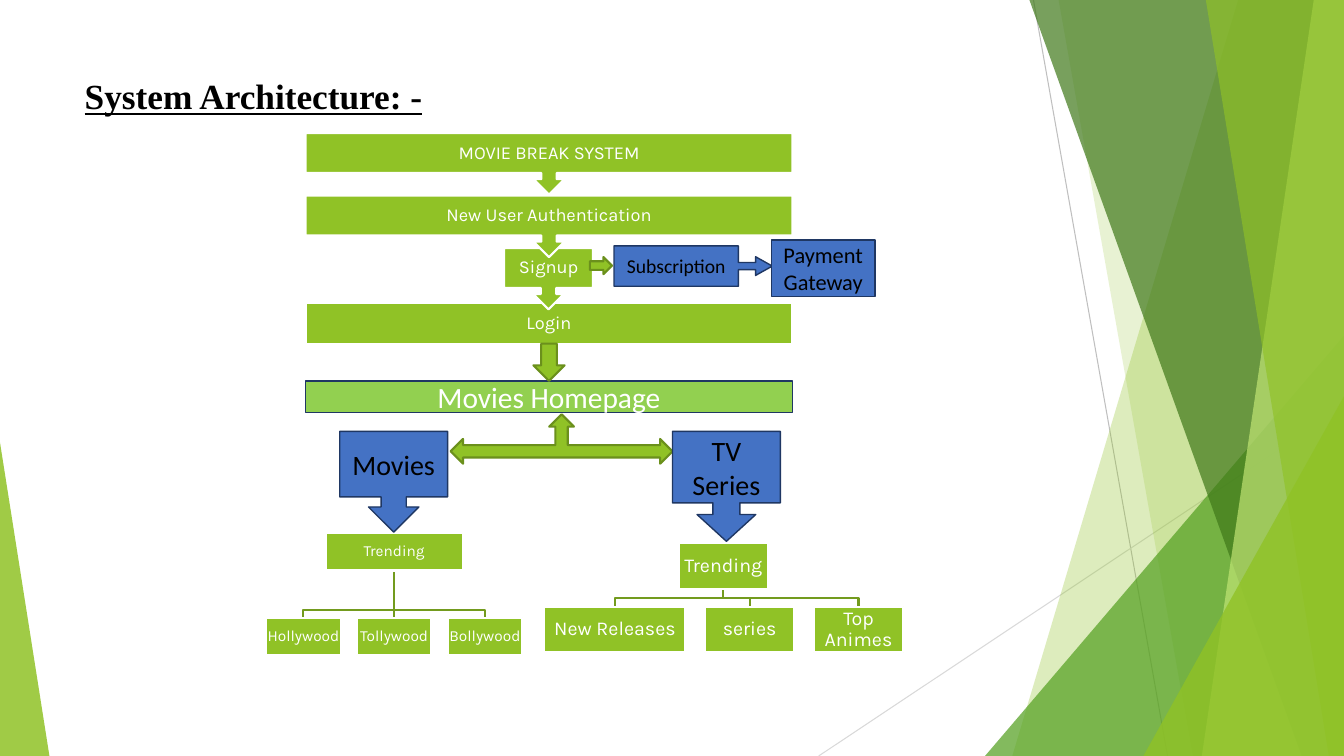
from lxml import etree
from pptx import Presentation, util as u
from pptx.dml.color import RGBColor
from pptx.enum import shapes as s, text as t
from pptx.oxml import ns

WIDE, HIGH = 13.33, 7.5
HUE = {"lime": "90C226", "leaf": "54A021", "moss": "3F7819", "pale": "C0E474",
       "home": "92D050", "blue": "4472C4", "navy": "1F3763", "edge": "6B901C",
       "branch": "739B1E", "white": "FFFFFF", "black": "000000",
       "gray": "BFBFBF", "mist": "D9D9D9"}

# Content
TITLE = "System Architecture: -"
LEFT, SPAN = 3.03, 4.83          # the main column
BAR, CALL = 0.4, 0.61            # bar height, bar plus its arrow
LOGIN = ("Login", LEFT, 3.01, SPAN)
STEPS = [("Signup", 5, 2.46, 0.88),
         ("New User Authentication", LEFT, 1.94, SPAN),
         ("MOVIE BREAK SYSTEM", LEFT, 1.32, SPAN)]
# root, children (text, left, width), row tops, box height, bus height, size
TREES = [
    (("Trending", 3.23, 1.36),
     [("Hollywood", 2.64, 0.74), ("Tollywood", 3.54, 0.74),
      ("Bollywood", 4.44, 0.74)], (5.29, 6.13), 0.37, 6.05, 11),
    (("Trending", 6.73, 0.89),
     [("New Releases", 5.4, 1.4), ("series", 6.99, 0.89),
      ("Top Animes", 8.07, 0.89)], (5.39, 6.02), 0.45, 5.93, 14)]
# preset, box, adjustments
ARROWS = [("DOWN_ARROW", (5.29, 3.41, 0.31, 0.37)),
          ("RIGHT_ARROW", (5.85, 2.55, 0.22, 0.17)),
          ("LEFT_RIGHT_UP_ARROW", (4.47, 4.11, 2.2, 0.49))]
# preset, box, text, size, adjustments
BLUES = [
    ("RIGHT_ARROW_CALLOUT", (6.09, 2.44, 1.57, 0.4), "Subscription", 14,
     (0.177, 0.232, 0.414, 0.786)),
    ("FLOWCHART_PROCESS", (7.65, 2.38, 1.03, 0.56), "Payment\nGateway", 16, ()),
    ("DOWN_ARROW_CALLOUT", (3.37, 4.28, 1.07, 1), "Movies", 20,
     (0.25, 0.25, 0.25, 0.65)),
    ("DOWN_ARROW_CALLOUT", (6.67, 4.28, 1.07, 1.09), "TV Series", 20,
     (0.25, 0.272, 0.248, 0.65))]
# Side panels: top left, bottom left (both reach the right edge), colour, opacity
# or a triangle: box, apex, colour, opacity
PANELS = [(12.28, 10.04, "lime", 30), (10.5, 11.83, "lime", 20),
          ((9.77, 3.33, 3.56, 4.17), 1, "leaf", 72),
          (10.21, 12.91, "moss", 70), (13.03, 11.92, "pale", 70),
          (11.96, 13.18, "lime", 65),
          ((11.34, 3.93, 1.99, 3.57), 1, "lime", 80),
          ((0, 4.39, 0.49, 3.11), 0, "lime", 85)]
RAYS = [((10.25, 0), (11.58, HIGH), "gray"),
        ((WIDE, 4.03), (8.12, HIGH), "mist")]

deck = Presentation()
deck.slide_width, deck.slide_height = u.Inches(WIDE), u.Inches(HIGH)
page = deck.slides.add_slide(deck.slide_layouts[5])
art = page.shapes


def rgb(name):
    return RGBColor.from_string(HUE[name])


def paint(item, fill=None, line=None, width=1.5, clear=None):
    item.shadow.inherit = False
    if fill:
        item.fill.solid()
        item.fill.fore_color.rgb = rgb(fill)
        if clear:
            tint = item.fill._xPr.find(".//" + ns.qn("a:srgbClr"))
            etree.SubElement(tint, ns.qn("a:alpha"), val=str(clear * 1000))
    else:
        item.fill.background()
    if line:
        item.line.color.rgb = rgb(line)
        item.line.width = u.Pt(width)
    else:
        item.line.fill.background()


def write(item, words, size, face, color="white", inset=None, **look):
    frame = item.text_frame
    frame.word_wrap = True
    frame.vertical_anchor = t.MSO_ANCHOR.MIDDLE
    if inset is not None:
        for side in ("left", "top", "right", "bottom"):
            setattr(frame, "margin_" + side, u.Inches(inset))
    frame.text = words
    style = {"size": u.Pt(size), "name": face, **look}
    for para in frame.paragraphs:
        para.alignment = t.PP_ALIGN.CENTER
        if face == "Karla":
            para.line_spacing = 0.9
        font = para.runs[0].font
        for key, val in style.items():
            setattr(font, key, val)
        font.color.rgb = rgb(color)


def place(kind, box, adj=(), **look):
    item = art.add_shape(s.MSO_SHAPE[kind], *map(u.Inches, box))
    for i, val in enumerate(adj):
        item.adjustments[i] = val
    paint(item, **look)
    return item


def trace(points, close, **look):
    spots = [(u.Inches(x), u.Inches(y)) for x, y in points]
    pen = art.build_freeform(*spots[0], scale=1.0)
    pen.add_line_segments(spots[1:], close=close)
    paint(pen.convert_to_shape(), **look)


def rule(start, end, color, width):
    line = art.add_connector(s.MSO_CONNECTOR.STRAIGHT,
                             *map(u.Inches, start + end))
    line.line.color.rgb = rgb(color)
    line.line.width = u.Pt(width)
    etree.SubElement(line._element.spPr, ns.qn("a:effectLst"))


# Side art
for start, end, color in RAYS:
    rule(start, end, color, 0.75)
for top, foot, color, clear in PANELS:
    if isinstance(top, tuple):
        place("ISOSCELES_TRIANGLE", top, (foot,), fill=color, clear=clear)
    else:
        trace([(top, 0), (WIDE, 0), (WIDE, HIGH), (foot, HIGH)], True,
              fill=color, clear=clear)

# Title
head = art.title
for key, val in zip(("left", "top", "width", "height"), (0.74, 0.67, 9.4, 0.56)):
    setattr(head, key, u.Inches(val))
write(head, TITLE, 25.2, "Times New Roman", "black", bold=True, underline=True)
head.text_frame.paragraphs[0].alignment = t.PP_ALIGN.LEFT

# Home bar
home = place("RECTANGLE", (LEFT, 3.78, SPAN, 0.31), fill="home", line="navy", width=1)
write(home, "Movies Homepage", 21, "Calibri")

# Trees
for root, kids, (top, low), tall, bus, size in TREES:
    mid, base = root[1] + root[2] / 2, top + tall
    for _, left, wide in kids:
        end = left + wide / 2
        if abs(end - mid) < 0.01:
            rule((mid, base), (mid, low), "branch", 1.5)
        else:
            trace([(mid, base), (mid, bus), (end, bus), (end, low)], False,
                  line="branch")
    for row, (words, left, wide) in [(top, root)] + [(low, kid) for kid in kids]:
        node = place("RECTANGLE", (left, row, wide, tall), fill="lime", line="white")
        write(node, words, size, "Karla", inset=0.01)

# Sign-in flow
words, left, top, wide = LOGIN
bar = place("RECTANGLE", (left, top, wide, BAR), fill="lime", line="white")
write(bar, words, 13, "Karla", inset=0.1)
for words, left, top, wide in STEPS:
    step = place("UP_ARROW_CALLOUT", (left, top, wide, CALL), fill="lime", line="white")
    step.rotation = 180
    label = art.add_textbox(*map(u.Inches, (left, top, wide, BAR)))
    write(label, words, 13, "Karla", inset=0.1)

# Arrows and blue boxes
for kind, box in ARROWS:
    place(kind, box, fill="lime", line="edge")
for kind, box, words, size, adj in BLUES:
    item = place(kind, box, adj, fill="blue", line="navy", width=1)
    write(item, words, size, "Calibri", "black")

deck.save("out.pptx")
